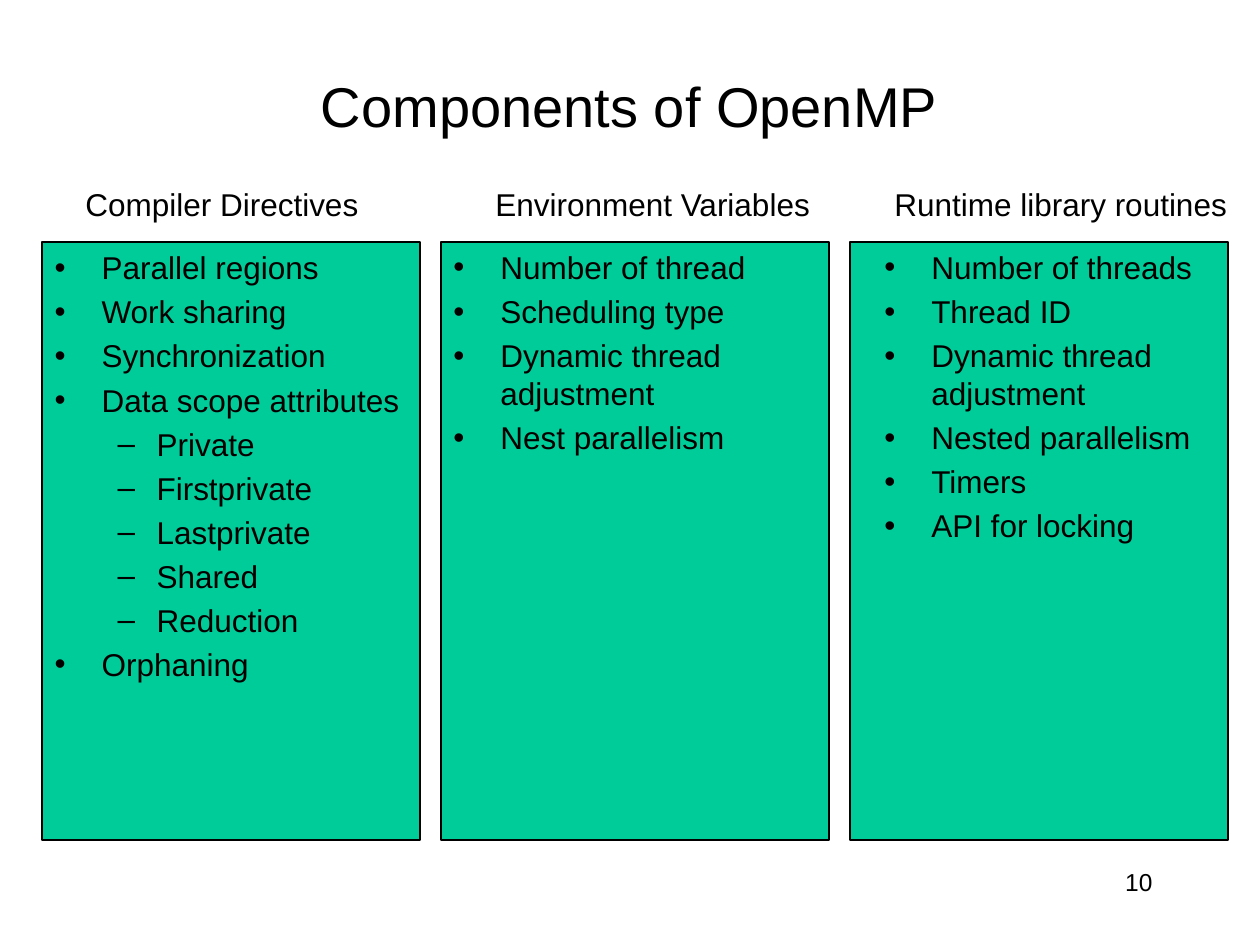
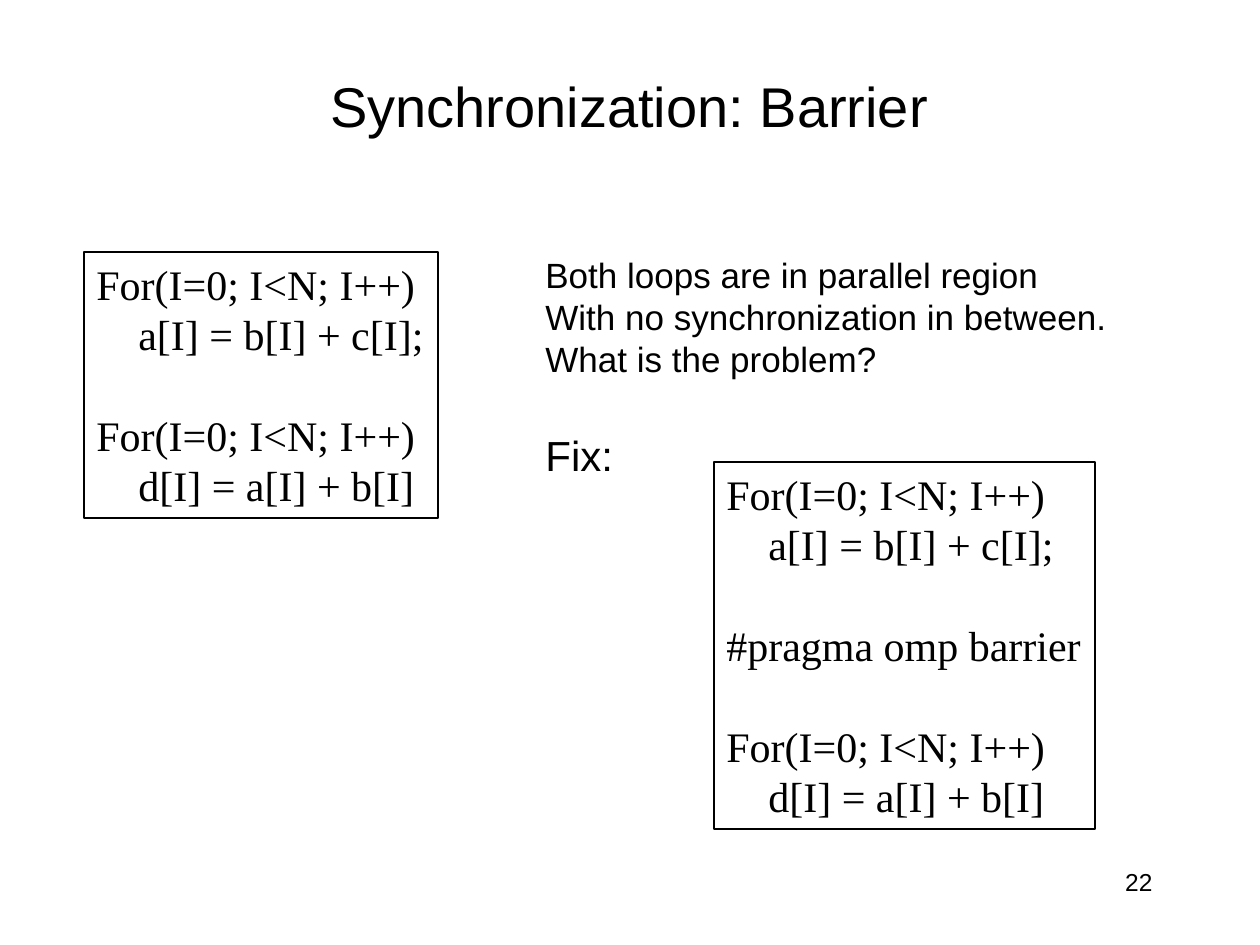
import pptx
import pptx.util
import pptx.dml.color
import pptx.enum.shapes
import pptx.enum.text
import lxml.etree

Pt = pptx.util.Pt
RGB = pptx.dml.color.RGBColor
ALIGN = pptx.enum.text.PP_ALIGN
ANCHOR = pptx.enum.text.MSO_ANCHOR
BLACK = RGB(0x00, 0x00, 0x00)
GREEN = RGB(0x00, 0xCC, 0x99)
SANS = "Arial"
SERIF = "Times New Roman"
SCALE = 914400 // 126
LEAD = 1.2
MARKS = [("•", 47, 47), ("–", 102, 39)]
NS = "{http://schemas.openxmlformats.org/drawingml/2006/main}"


def px(num):
    return round(num * 914400 / 126)


def place(shape, box):
    shape.left, shape.top, shape.width, shape.height = map(px, box)


def style(para, size, font=SANS, align=ALIGN.LEFT, gap=0):
    para.alignment = align
    para.line_spacing = Pt(size * LEAD)
    para.space_before = Pt(gap)
    para.space_after = Pt(0)
    for run in para.runs:
        run.font.size = Pt(size)
        run.font.name = font
        run.font.color.rgb = BLACK


def indent(para, left, hang=0):
    props = para._p.get_or_add_pPr()
    props.set("marL", str(px(left)))
    props.set("indent", str(-px(hang)))
    return props


def frame(shape, wrap=True, anchor=ANCHOR.TOP):
    text = shape.text_frame
    text.auto_size = pptx.enum.text.MSO_AUTO_SIZE.NONE
    text.word_wrap = wrap
    text.vertical_anchor = anchor
    return text


def label(slide, box, words, size=18, align=ALIGN.LEFT, wrap=False):
    text = frame(slide.shapes.add_textbox(*map(px, box)), wrap)
    text.text = words
    style(text.paragraphs[0], size, align=align)


def panel(slide, box, fill=None):
    kind = pptx.enum.shapes.MSO_SHAPE.RECTANGLE
    shape = slide.shapes.add_shape(kind, *map(px, box))
    shape.shadow.inherit = False
    if fill is None:
        shape.fill.background()
    else:
        shape.fill.solid()
        shape.fill.fore_color.rgb = fill
    shape.line.color.rgb = BLACK
    shape.line.width = Pt(0.75)
    return shape


def start(deck, layout, title, page):
    slide = deck.slides.add_slide(deck.slide_layouts[layout])
    head = slide.shapes.title
    place(head, (94, 53, 1071, 105))
    text = frame(head, anchor=ANCHOR.MIDDLE)
    text.text = title
    style(text.paragraphs[0], 32, align=ALIGN.CENTER)
    label(slide, (903, 861, 262, 63), page, 14, ALIGN.RIGHT, True)
    return slide


def bullets(shape, items):
    text = frame(shape)
    text.text = "\n".join(words for words, level in items)
    for para, (words, level) in zip(text.paragraphs, items):
        para.level = level
        style(para, 18, gap=3.6)
        mark, left, hang = MARKS[level]
        props = indent(para, left, hang)
        face = lxml.etree.SubElement(props, NS + "buFont")
        face.set("typeface", SANS)
        lxml.etree.SubElement(props, NS + "buChar").set("char", mark)


def column(slide, box, title, shift, items, inset=0, wide=388, body=None):
    left, top, width, height = box
    panel(slide, box, GREEN)
    area = (left + inset, top, wide, height)
    if body is None:
        body = slide.shapes.add_textbox(*map(px, area))
    else:
        place(body, area)
        slide.shapes._spTree.append(body._element)
    bullets(body, items)
    label(slide, (left + shift, top - 63, width - 36, 50), title)


def lines(text, rows, font):
    text.text = "\n".join(row[0] for row in rows)
    for para, (words, size, left, gap) in zip(text.paragraphs, rows):
        style(para, size, font, gap=gap)
        indent(para, left)


def code(slide, box, rows):
    lines(frame(panel(slide, box), False), rows, SERIF)


def parts(deck):
    slide = start(deck, 1, "Components of OpenMP", "10")
    top, high = 242, 598
    scope = ["Private", "Firstprivate", "Lastprivate", "Shared", "Reduction"]
    rules = ["Parallel regions", "Work sharing", "Synchronization",
             "Data scope attributes"]
    column(slide, (42, top, 378, high), "Compiler Directives", 31,
           [(word, 0) for word in rules] + [(word, 1) for word in scope]
           + [("Orphaning", 0)], body=slide.placeholders[1])
    column(slide, (441, top, 388, high), "Environment Variables", 42,
           [(word, 0) for word in ["Number of thread", "Scheduling type",
                                   "Dynamic thread adjustment",
                                   "Nest parallelism"]], wide=420)
    column(slide, (850, top, 378, high), "Runtime library routines", 32,
           [(word, 0) for word in ["Number of threads", "Thread ID",
                                   "Dynamic thread adjustment",
                                   "Nested parallelism", "Timers",
                                   "API for locking"]], inset=22)


def barrier(deck):
    slide = start(deck, 5, "Synchronization: Barrier", "22")
    size, tab, gap = 24, 42, 24 * LEAD
    loop = "For(I=0; I<N; I++)"
    first = [(loop, size, 0, 0), ("a[I] = b[I] + c[I];", size, tab, 0)]
    second = [(loop, size, 0, gap), ("d[I] = a[I] + b[I]", size, tab, 0)]
    fence = [("#pragma omp barrier", size, 0, gap)]
    code(slide, (84, 252, 354, 266), first + second)
    note = slide.shapes.add_textbox(*map(px, (533, 247, 591, 242)))
    lines(frame(note, False),
          [("Both loops are in parallel region", 20, 0, 0),
           ("With no synchronization in between.", 20, 0, 0),
           ("What is the problem?", 20, 0, 0),
           ("Fix:", size, 0, gap)], SANS)
    code(slide, (714, 462, 381, 367), first + fence + second)


deck = pptx.Presentation()
deck.slide_width, deck.slide_height = px(1260), px(945)
parts(deck)
barrier(deck)
deck.save("out.pptx")
